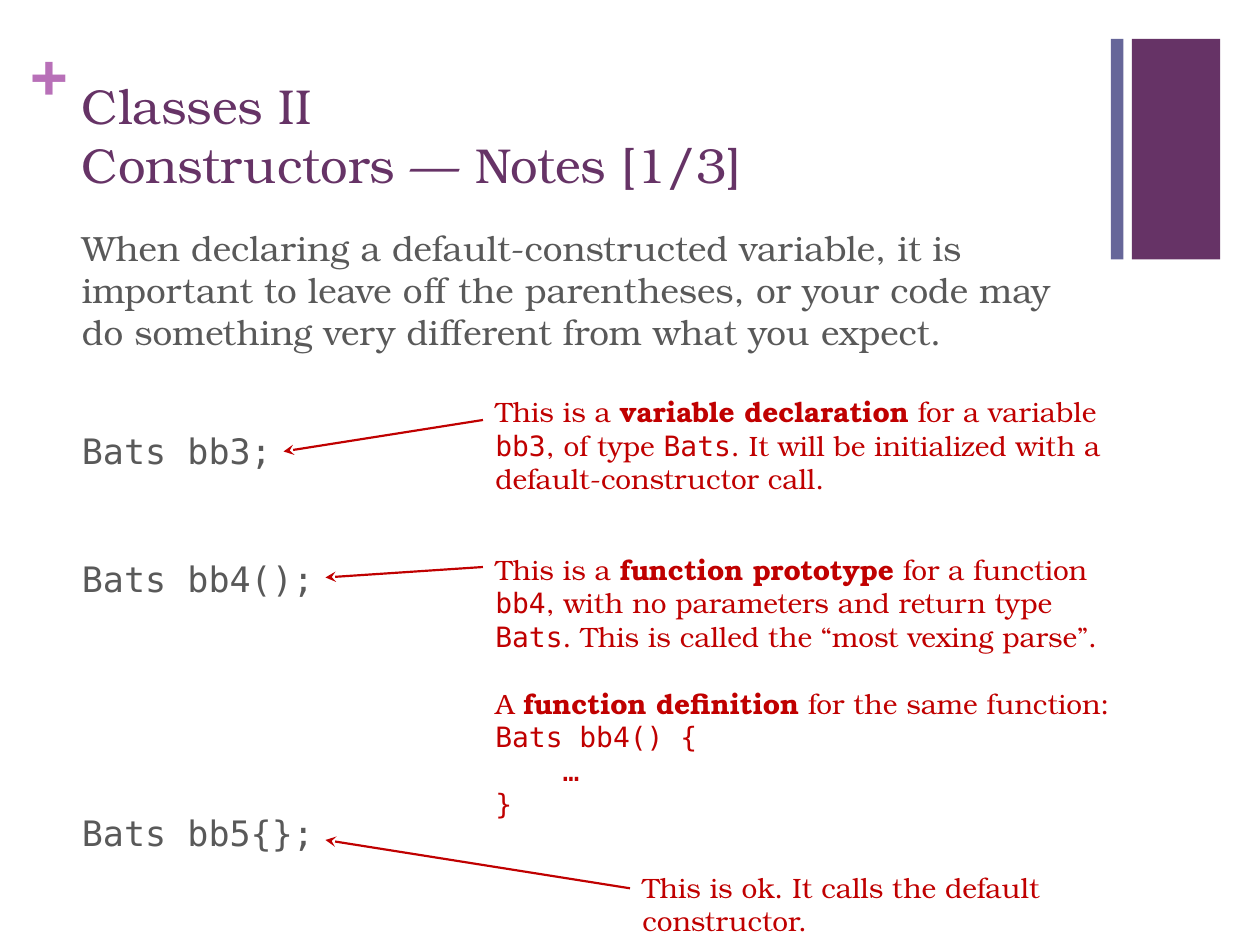
from pptx import Presentation
from pptx.dml.color import RGBColor
from pptx.enum.shapes import MSO_CONNECTOR, MSO_SHAPE
from pptx.enum.text import MSO_ANCHOR, MSO_AUTO_SIZE, PP_ALIGN
from pptx.oxml.ns import qn
from pptx.util import Inches, Pt
from lxml import etree

RECTANGLE = MSO_SHAPE.RECTANGLE
STRAIGHT = MSO_CONNECTOR.STRAIGHT
LEFT = PP_ALIGN.LEFT
TOP, BOTTOM = MSO_ANCHOR.TOP, MSO_ANCHOR.BOTTOM
FIXED, GROW = MSO_AUTO_SIZE.NONE, MSO_AUTO_SIZE.SHAPE_TO_FIT_TEXT

COLORS = {
    "plum": "663366",
    "slate": "666699",
    "orchid": "B870B8",
    "body": "595959",
    "note": "C00000",
}
SERIF, MONO = "TeX Gyre Bonum", "DejaVu Sans Mono"
CELLS_PER_INCH = 12


def grid(*cells):
    """Turn grid cells into lengths."""
    return [Inches(cell / CELLS_PER_INCH) for cell in cells]


def write(paragraph, text, *, size, color, font=SERIF, bold=False):
    """Append formatted text, turning newlines into line breaks."""
    for index, line in enumerate(text.split("\n")):
        if index:
            paragraph.add_line_break()
        run = paragraph.add_run()
        run.text = line
        run.font.size = Pt(size)
        run.font.name = font
        run.font.bold = bold
        run.font.color.rgb = RGBColor.from_string(COLORS[color])


class LectureSlide:
    """Draws lecture elements on one slide in a shared style."""

    marks = {"bold": {"bold": True}, "code": {"font": MONO}}

    def __init__(self, deck):
        """Add a title and content slide."""
        self.slide = deck.slides.add_slide(deck.slide_layouts[1])
        self.shapes = self.slide.shapes

    def fill_frame(self, frame, paragraphs, size, color):
        """Write (space before, pieces) paragraphs into a frame."""
        frame.word_wrap = True
        for index, (space, pieces) in enumerate(paragraphs):
            paragraph = frame.add_paragraph() if index else frame.paragraphs[0]
            properties = paragraph._p.get_or_add_pPr()
            properties.set("marL", "0")
            properties.set("indent", "0")
            etree.SubElement(properties, qn("a:buNone"))
            paragraph.alignment = LEFT
            paragraph.space_before = Pt(space)
            for text, mark in pieces:
                write(paragraph, text, size=size, color=color, **self.marks.get(mark, {}))

    def placeholder(self, index, place, paragraphs, size, color, anchor):
        """Move and fill a template placeholder."""
        holder = self.slide.placeholders[index]
        holder.left, holder.top, holder.width, holder.height = grid(*place)
        frame = holder.text_frame
        frame.auto_size = FIXED
        frame.vertical_anchor = anchor
        self.fill_frame(frame, paragraphs, size, color)

    def bar(self, place, color):
        """Draw a plain decorative bar."""
        bar = self.shapes.add_shape(RECTANGLE, *grid(*place))
        bar.shadow.inherit = False
        bar.fill.solid()
        bar.fill.fore_color.rgb = RGBColor.from_string(COLORS[color])
        bar.line.fill.background()

    def plus(self, place):
        """Draw the plus sign beside the title."""
        frame = self.shapes.add_textbox(*grid(*place)).text_frame
        frame.margin_left = frame.margin_right = 0
        frame.margin_top = frame.margin_bottom = 0
        write(frame.paragraphs[0], "+", size=36, color="orchid", bold=True)

    def note(self, place, paragraphs):
        """Draw an explanatory note."""
        frame = self.shapes.add_textbox(*grid(*place)).text_frame
        self.fill_frame(frame, paragraphs, 16, "note")
        frame.auto_size = GROW

    def arrow(self, start, end):
        """Point from a note to its code."""
        arrow = self.shapes.add_connector(STRAIGHT, *grid(*start, *end))
        arrow.line.color.rgb = RGBColor.from_string(COLORS["note"])
        arrow.line.width = Pt(1.25)
        etree.SubElement(arrow.line._get_or_add_ln(), qn("a:tailEnd"), type="stealth")
        etree.SubElement(arrow._element.spPr, qn("a:effectLst"))


TITLE = [(0, [("Classes II\nConstructors — Notes [1/3]", None)])]
BODY = [
    (0, [("When declaring a default-constructed variable, it is important to leave off "
          "the parentheses, or your code may do something very different from what you "
          "expect.", None)]),
    (44, [("Bats bb3;", "code")]),
    (48.7, [("Bats bb4();", "code")]),
    (121.3, [("Bats bb5{};", "code")]),
]
DECLARATION = [
    (0, [("This is a ", None), ("variable declaration", "bold"),
         (" for a variable ", None), ("bb3", "code"), (", of type ", None),
         ("Bats", "code"),
         (". It will be initialized with a default-constructor call.", None)]),
]
PROTOTYPE = [
    (0, [("This is a ", None), ("function prototype", "bold"),
         (" for a function ", None), ("bb4", "code"),
         (", with no parameters and return type ", None), ("Bats", "code"),
         (". This is called the “most vexing parse”.", None)]),
    (19, [("A ", None), ("function definition", "bold"),
          (" for the same function:\n", None), ("Bats bb4() {\n    …\n}", "code")]),
]
DEFAULT_CALL = [(0, [("This is ok. It calls the default constructor.", None)])]
CALLOUTS = [
    ((46, 37, 63, 10.9), DECLARATION, (46, 40), (27, 43)),
    ((46, 52, 63, 27.1), PROTOTYPE, (46, 54), (31, 55)),
    ((60, 82.3, 52, 4.4), DEFAULT_CALL, (60, 84.6), (31, 80)),
]


def main():
    """Build and save the slide."""
    deck = Presentation()
    deck.slide_width, deck.slide_height = Inches(10), Inches(7.5)
    page = LectureSlide(deck)
    page.bar((107.8, 3.7, 8.4, 21), "plum")
    page.plus((2.9, 3, 3.5, 7.3))
    page.bar((105.8, 3.7, 1.2, 21), "slate")
    page.placeholder(0, (6.6, 6.4, 99.1, 12.6), TITLE, 28, "plum", BOTTOM)
    page.placeholder(1, (6.6, 21, 99.1, 62), BODY, 20, "body", TOP)
    for place, paragraphs, start, end in CALLOUTS:
        page.note(place, paragraphs)
        page.arrow(start, end)
    deck.save("out.pptx")


if __name__ == "__main__":
    main()
